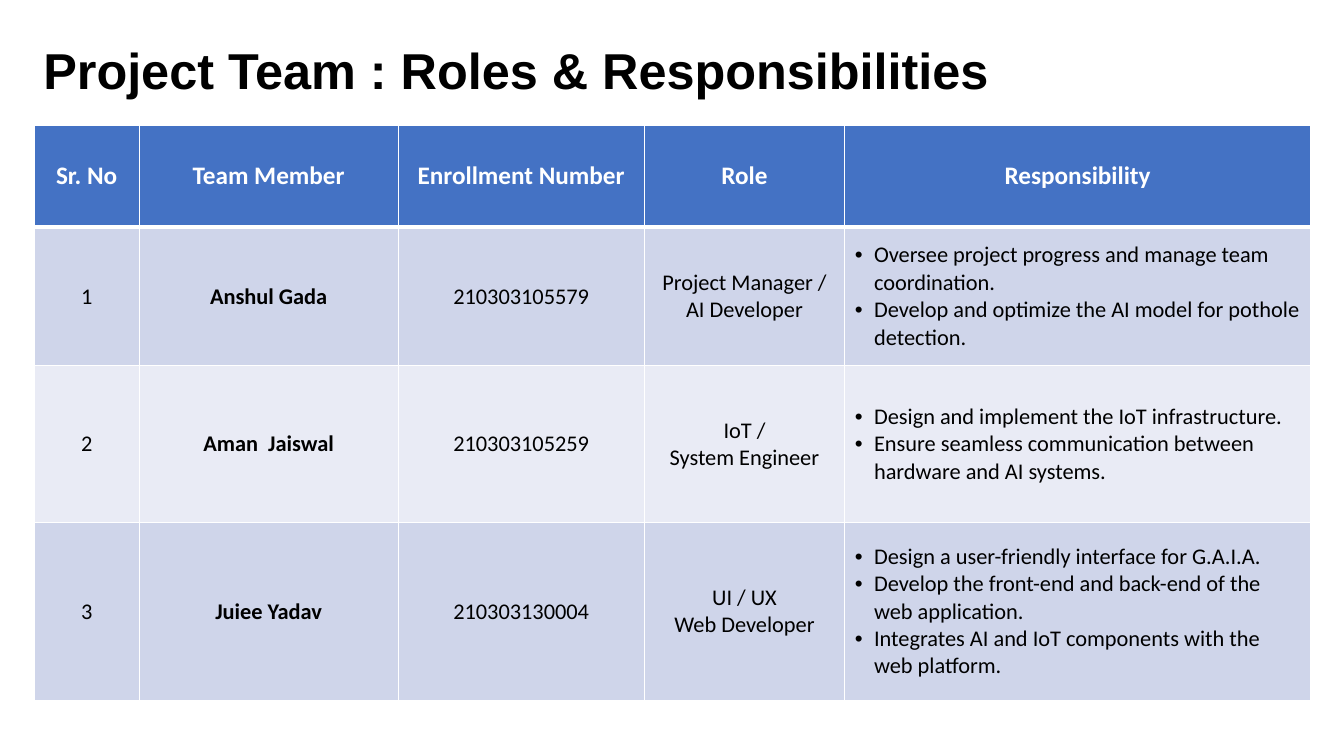
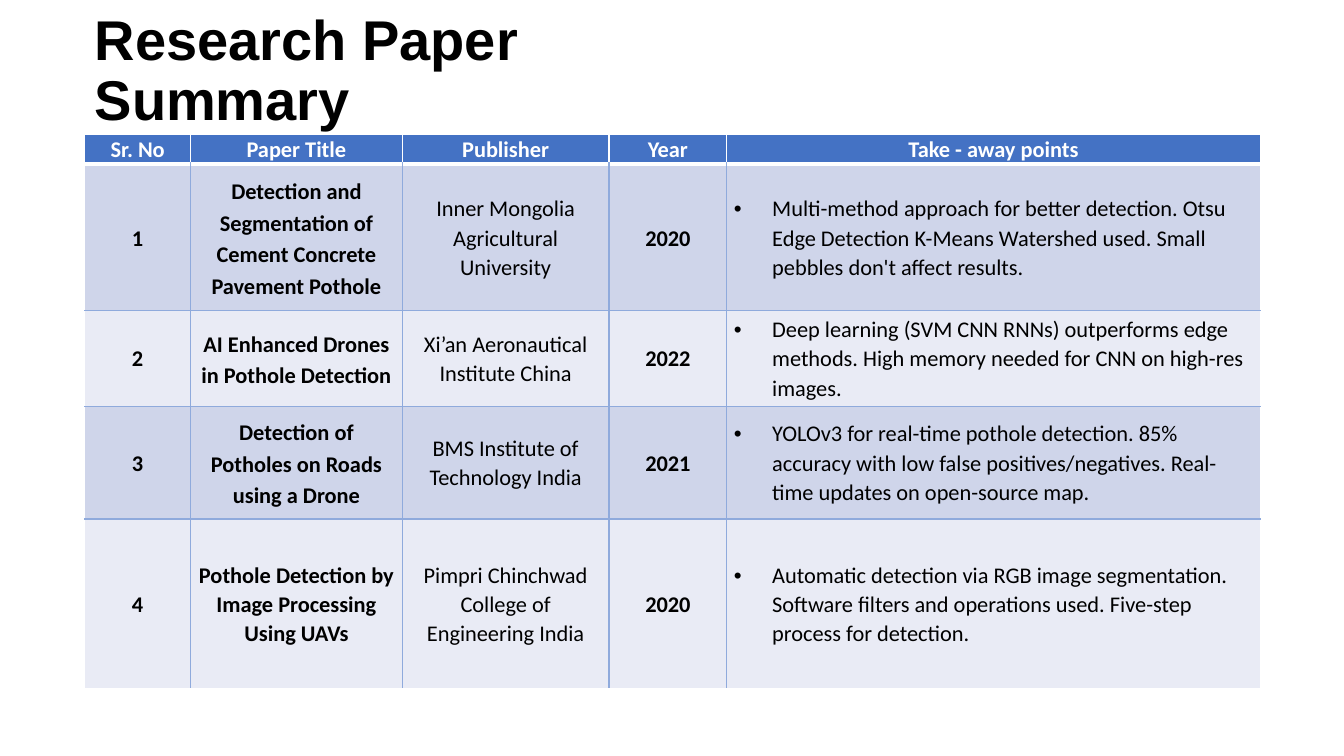
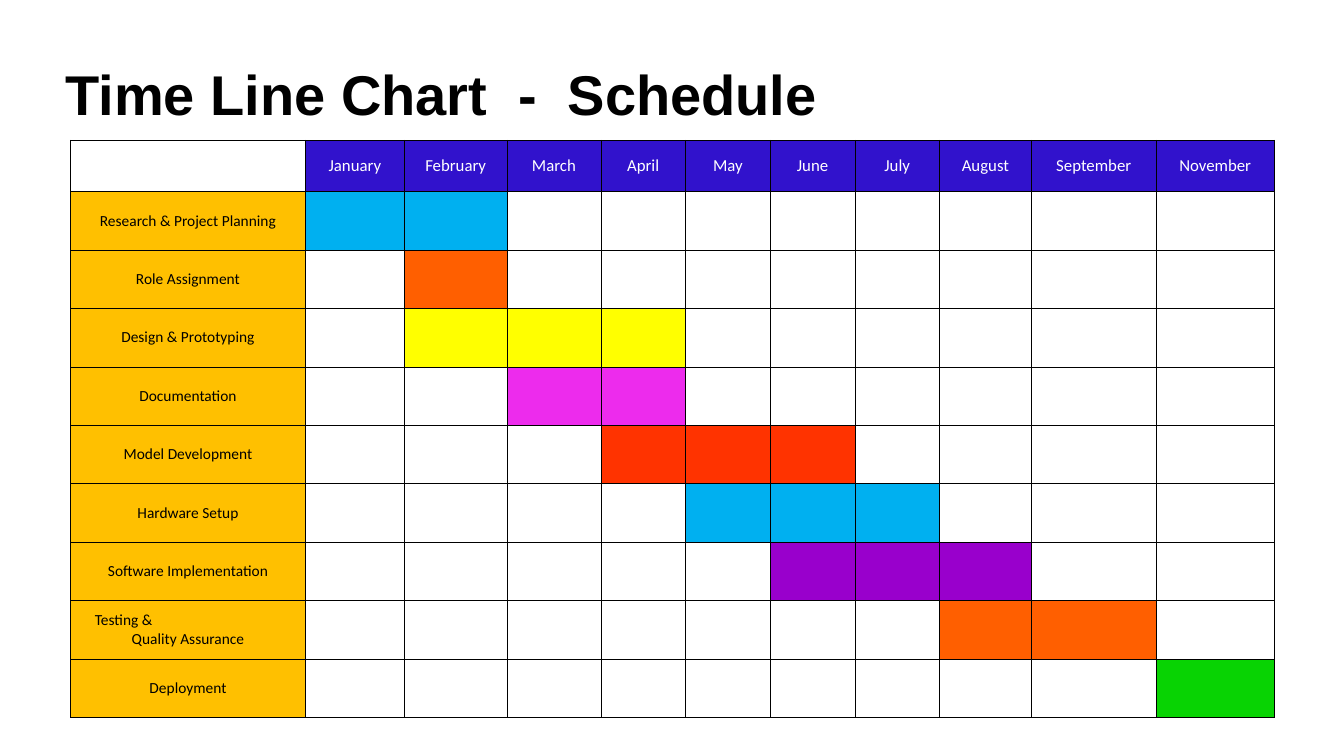
from lxml.etree import SubElement
from pptx import Presentation
from pptx.dml.color import RGBColor
from pptx.enum.text import MSO_ANCHOR, MSO_AUTO_SIZE, PP_ALIGN
from pptx.oxml.ns import qn
from pptx.util import Inches, Pt

rgb = RGBColor.from_string
WHITE, BLACK = "FFFFFF", "000000"
HEADER_BLUE, EDGE_BLUE = "4472C4", "8FAADC"
BANDS = ["E9EBF5", "CFD5EA"]
MONTH_BLUE, TASK_GOLD = "3112CC", "FFC000"
WHITE_EDGES = [(WHITE, 1)] * 4
HEADER_EDGES = [(WHITE, 1)] * 3 + [(WHITE, 3)]
GRID_EDGES = [(BLACK, 0.5)] * 4

deck = Presentation()
deck.slide_width = Inches(13.33)
deck.slide_height = Inches(7.5)


def add_table_slide(heading, heading_box, heading_size, corner, widths, heights):
    slide = deck.slides.add_slide(deck.slide_layouts[5])
    title = slide.shapes.title
    title.left, title.top, title.width, title.height = map(Inches, heading_box)
    frame = title.text_frame
    frame.text = heading
    frame.word_wrap = True
    frame.auto_size = MSO_AUTO_SIZE.NONE
    frame.vertical_anchor = MSO_ANCHOR.MIDDLE
    paragraph = frame.paragraphs[0]
    paragraph.alignment = PP_ALIGN.LEFT
    paragraph.line_spacing = 0.9
    paragraph.font.name = "Arial"
    paragraph.font.size = Pt(heading_size)
    paragraph.font.bold = True
    paragraph.font.color.rgb = rgb(BLACK)

    size = Inches(sum(widths)), Inches(sum(heights))
    table = slide.shapes.add_table(
        len(heights), len(widths), *map(Inches, corner), *size).table
    for column, width in zip(table.columns, widths):
        column.width = Inches(width)
    for row, height in zip(table.rows, heights):
        row.height = Inches(height)
    return table


def fill_cell(cell, text, fill, edges, size=16, color=BLACK, bold=False,
              inset=(0.1, 0.05), spacing=1.0, hanging=0):
    properties = cell._tc.get_or_add_tcPr()
    for side, (edge_color, width) in zip("LRTB", edges):
        line = SubElement(properties, qn(f"a:ln{side}"), w=str(Pt(width)))
        SubElement(SubElement(line, qn("a:solidFill")), qn("a:srgbClr"), val=edge_color)
    if fill:
        cell.fill.solid()
        cell.fill.fore_color.rgb = rgb(fill)
    else:
        cell.fill.background()
    cell.margin_left = cell.margin_right = Inches(inset[0])
    cell.margin_top = cell.margin_bottom = Inches(inset[1])
    cell.vertical_anchor = MSO_ANCHOR.MIDDLE
    if not text:
        return
    cell.text = text
    for paragraph in cell.text_frame.paragraphs:
        paragraph.alignment = PP_ALIGN.LEFT if hanging else PP_ALIGN.CENTER
        paragraph.line_spacing = spacing
        if hanging:
            layout = paragraph._p.get_or_add_pPr()
            layout.set("marL", str(Inches(hanging)))
            layout.set("indent", str(-Inches(hanging)))
            SubElement(layout, qn("a:buFont"), typeface="Arial")
            SubElement(layout, qn("a:buChar"), char="•")
        paragraph.font.name = "Calibri"
        paragraph.font.size = Pt(size)
        paragraph.font.bold = bold
        paragraph.font.color.rgb = rgb(color)


team = [
    ("Sr. No", "Team Member", "Enrollment Number", "Role", "Responsibility"),
    ("1", "Anshul Gada", "210303105579", "Project Manager / AI Developer",
     "Oversee project progress and manage team coordination.\n"
     "Develop and optimize the AI model for pothole detection."),
    ("2", "Aman  Jaiswal", "210303105259", "IoT /\nSystem Engineer",
     "Design and implement the IoT infrastructure.\n"
     "Ensure seamless communication between hardware and AI systems."),
    ("3", "Juiee Yadav", "210303130004", "UI / UX\nWeb Developer",
     "Design a user-friendly interface for G.A.I.A.\n"
     "Develop the front-end and back-end of the web application.\n"
     "Integrates AI and IoT components with the web platform."),
]
team_table = add_table_slide(
    "Project Team : Roles & Responsibilities", (0.33, 0, 11.5, 1.45), 36,
    (0.34, 1.24), [1.04, 2.57, 2.44, 1.99, 4.62], [1.01, 1.38, 1.55, 1.77])
for r, member in enumerate(team):
    for c, text in enumerate(member):
        cell = team_table.cell(r, c)
        if r == 0:
            fill_cell(cell, text, HEADER_BLUE, HEADER_EDGES, 18, WHITE, True)
        else:
            fill_cell(cell, text, BANDS[r % 2], WHITE_EDGES, bold=c == 1,
                      hanging=0.19 if c == 4 else 0)

papers = [
    ("Sr. No", "Paper Title", "Publisher", "Year", "Take - away points"),
    ("1", "Detection and Segmentation of Cement Concrete Pavement Pothole",
     "Inner Mongolia Agricultural University", "2020",
     "Multi-method approach for better detection. Otsu Edge Detection K-Means "
     "Watershed used. Small pebbles don't affect results."),
    ("2", "AI Enhanced Drones in Pothole Detection",
     "Xi’an Aeronautical Institute China", "2022",
     "Deep learning (SVM CNN RNNs) outperforms edge methods. High memory needed "
     "for CNN on high-res images."),
    ("3", "Detection of Potholes on Roads using a Drone",
     "BMS Institute of Technology India", "2021",
     "YOLOv3 for real-time pothole detection. 85% accuracy with low false "
     "positives/negatives. Real-time updates on open-source map."),
    ("4", "Pothole Detection by Image Processing Using UAVs",
     "Pimpri Chinchwad College of Engineering India", "2020",
     "Automatic detection via RGB image segmentation. Software filters and "
     "operations used. Five-step process for detection."),
]
paper_table = add_table_slide(
    "Research Paper Summary", (0.84, 0.23, 7.05, 0.98), 40,
    (0.84, 1.33), [1.05, 2.1, 2.05, 1.17, 5.29], [0.3, 1.45, 0.95, 1.12, 1.68])
for r, paper in enumerate(papers):
    for c, text in enumerate(paper):
        cell = paper_table.cell(r, c)
        if r == 0:
            fill_cell(cell, text, HEADER_BLUE, HEADER_EDGES, color=WHITE, bold=True,
                      inset=(0.07, 0), spacing=1.07)
            continue
        outer_sides = c == 0, c == 4, r == 1, r == 4
        edges = [(WHITE if outer else EDGE_BLUE, 1) for outer in outer_sides]
        fill_cell(cell, text, BANDS[r % 2], edges, bold=c in (0, 1, 3),
                  inset=(0.07, 0), spacing=1.15 if c == 1 and r < 4 else 1.07,
                  hanging=0.38 if c == 4 else 0)

months = ["January", "February", "March", "April", "May", "June", "July",
          "August", "September", "November"]
tasks = [
    ("Research & Project Planning", "January", "February", "00B0F0"),
    ("Role Assignment", "February", "February", "FF5F00"),
    ("Design & Prototyping", "February", "April", "FFFF00"),
    ("Documentation", "March", "April", "ED2BED"),
    ("Model Development", "April", "June", "FF3300"),
    ("Hardware Setup", "May", "July", "00B0F0"),
    ("Software Implementation", "June", "August", "9900CC"),
    ("Testing &\nQuality Assurance", "August", "September", "FF5F00"),
    ("Deployment", "November", "November", "08D303"),
]
schedule = add_table_slide(
    "Time Line Chart  -  Schedule", (0.55, 0.62, 7.68, 0.7), 40, (0.7, 1.39),
    [2.33, 0.98, 1.02, 0.93, 0.84, 0.84, 0.84, 0.84, 0.91, 1.24, 1.17],
    [0.51] + [0.58] * len(tasks))
fill_cell(schedule.cell(0, 0), "", None, GRID_EDGES)
for c, month in enumerate(months, 1):
    fill_cell(schedule.cell(0, c), month, MONTH_BLUE, GRID_EDGES, 12, WHITE,
              inset=(0.01, 0.01))
for r, (task, start, end, color) in enumerate(tasks, 1):
    fill_cell(schedule.cell(r, 0), task, TASK_GOLD, GRID_EDGES, 11, inset=(0.01, 0.01))
    for c, month in enumerate(months):
        active = months.index(start) <= c <= months.index(end)
        fill_cell(schedule.cell(r, c + 1), "", color if active else None, GRID_EDGES)

testing = schedule.cell(8, 0).text_frame.paragraphs[0]
testing.alignment = PP_ALIGN.LEFT
testing._p.get_or_add_pPr().set("marL", str(Inches(0.23)))

deck.save("out.pptx")
